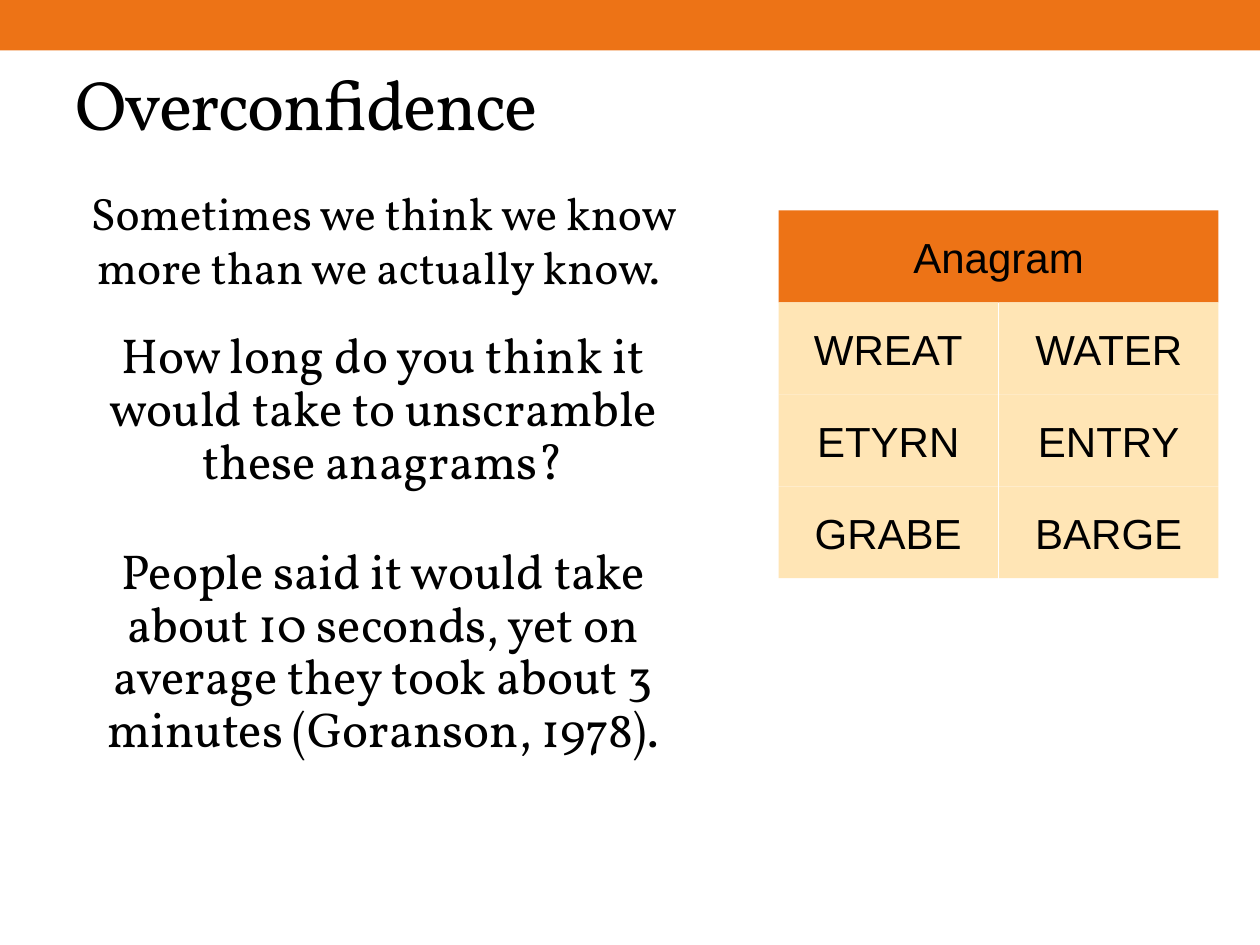
from pptx import Presentation
from pptx.dml.color import RGBColor
from pptx.enum.shapes import MSO_SHAPE
from pptx.enum.text import MSO_ANCHOR, PP_ALIGN
from pptx.util import Inches, Pt

RECTANGLE = MSO_SHAPE.RECTANGLE
MIDDLE = MSO_ANCHOR.MIDDLE
TOP = MSO_ANCHOR.TOP
LEFT = PP_ALIGN.LEFT
CENTER = PP_ALIGN.CENTER

ORANGE = "ED7316"
CREAM = "FFE5B5"
BLACK = "000000"

TITLE_FONT = {"name": "Vollkorn", "size": Pt(40)}
LEAD_FONT = {"name": "Vollkorn", "size": Pt(25.9)}
BODY_FONT = {"name": "Vollkorn", "size": Pt(28)}
TILE_FONT = {"name": "Arial", "size": Pt(24)}

PASSAGES = [
    (1.42, 1.08, "Sometimes we think we know more than we actually know. ", LEAD_FONT, 1.0),
    (2.58, 1.42, "How long do you think it would take to unscramble these anagrams?", BODY_FONT, 0.9),
    (4.29, 1.83, "People said it would take about 10 seconds, yet on average they took "
                 "about 3 minutes (Goranson, 1978).", BODY_FONT, 0.9),
]
ANAGRAMS = [("WREAT", "WATER"), ("ETYRN", "ENTRY"), ("GRABE", "BARGE")]
GRID_LEFT, GRID_TOP, GRID_WIDTH = 6.18, 1.67, 3.49
TILE_WIDTH, TILE_HEIGHT, ROW_STEP = 1.74, 0.73, 0.73


def color(value):
    return RGBColor.from_string(value)


def write(frame, text, font, align, spacing=1.0):
    para = frame.paragraphs[0]
    para.alignment = align
    para.line_spacing = spacing
    span = para.add_run()
    span.text = text
    for name, value in font.items():
        setattr(span.font, name, value)
    span.font.color.rgb = color(BLACK)
    return span


def add_rectangle(page, left, top, width, height, fill):
    rectangle = page.shapes.add_shape(RECTANGLE, Inches(left), Inches(top),
                                      Inches(width), Inches(height))
    rectangle.shadow.inherit = False
    rectangle.fill.solid()
    rectangle.fill.fore_color.rgb = color(fill)
    rectangle.line.fill.background()
    return rectangle


def set_title(page, text):
    title = page.shapes.title
    title.left, title.top = Inches(0.5), Inches(0.3)
    title.width, title.height = Inches(9), Inches(1.03)
    title.text_frame.vertical_anchor = MIDDLE
    span = write(title.text_frame, text, TITLE_FONT, LEFT)
    span._r.get_or_add_rPr().set("spc", "-100")


def add_passage(page, top, height, text, font, spacing):
    box = page.shapes.add_textbox(Inches(0.5), Inches(top), Inches(5.08), Inches(height))
    box.text_frame.word_wrap = True
    box.text_frame.vertical_anchor = TOP
    write(box.text_frame, text, font, CENTER, spacing)


def add_tile(page, left, top, width, text, fill):
    tile = add_rectangle(page, left, top, width, TILE_HEIGHT, fill)
    tile.text_frame.vertical_anchor = MIDDLE
    write(tile.text_frame, text, TILE_FONT, CENTER)


def add_anagram_grid(page):
    add_tile(page, GRID_LEFT, GRID_TOP, GRID_WIDTH, "Anagram", ORANGE)
    column_step = GRID_WIDTH - TILE_WIDTH
    for row, words in enumerate(ANAGRAMS, start=1):
        for column, word in enumerate(words):
            add_tile(page, GRID_LEFT + column * column_step,
                     GRID_TOP + row * ROW_STEP, TILE_WIDTH, word, CREAM)


def main():
    deck = Presentation()
    deck.slide_width, deck.slide_height = Inches(10), Inches(7.5)
    page = deck.slides.add_slide(deck.slide_layouts[5])
    add_rectangle(page, 0, 0, 10, 0.4, ORANGE)
    set_title(page, "Overconfidence")
    for passage in PASSAGES:
        add_passage(page, *passage)
    add_anagram_grid(page)
    deck.save("out.pptx")


if __name__ == "__main__":
    main()
